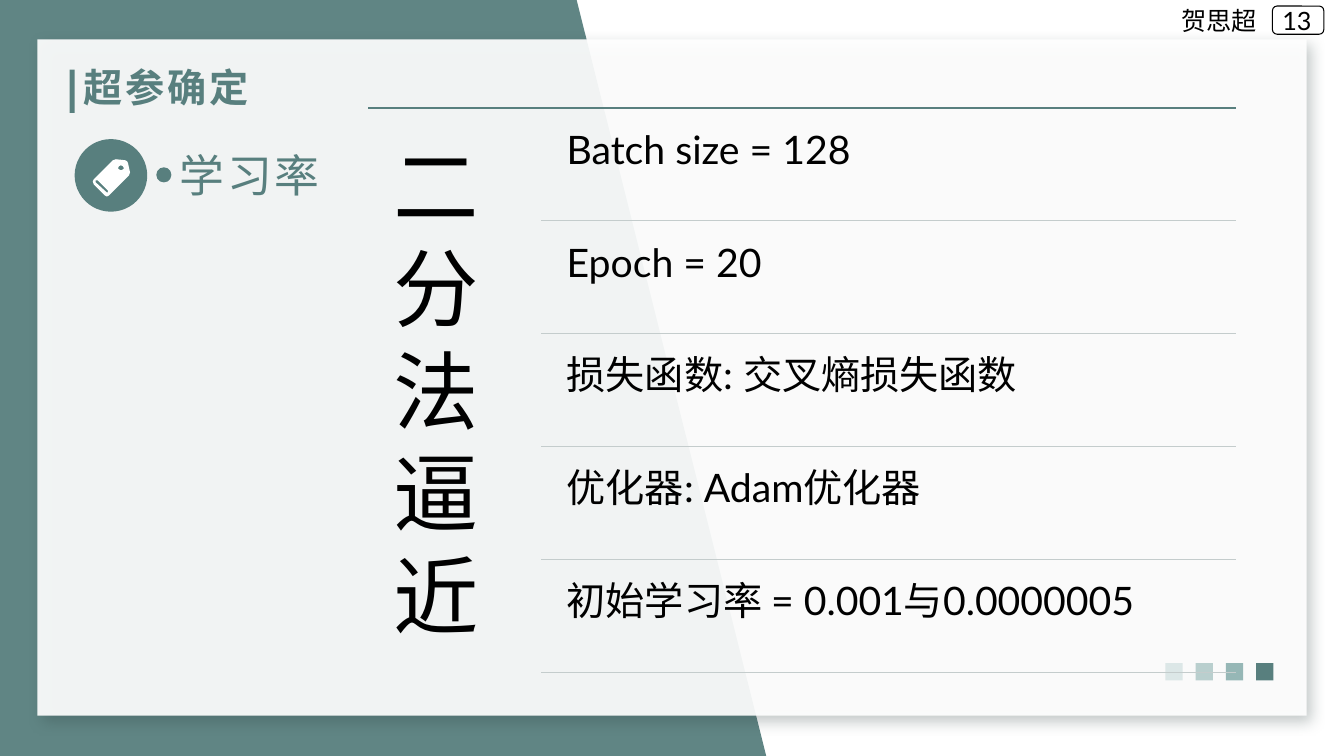
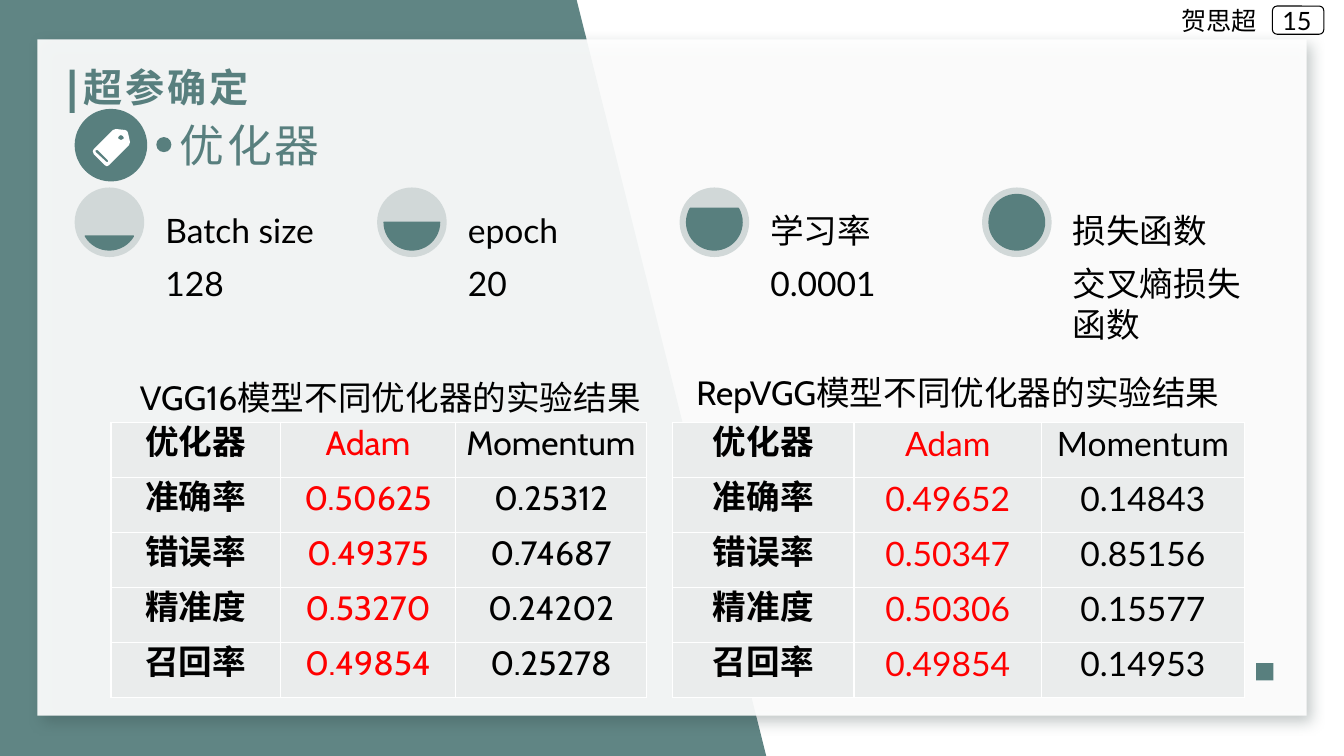
import dataclasses

import pptx
import pptx.dml.color
import pptx.enum.shapes
import pptx.enum.text
import pptx.oxml
import pptx.oxml.ns
import pptx.util

SCALE = 9144  # EMU in one px, 100 px to the inch
KIND = pptx.enum.shapes.MSO_SHAPE
ANCHOR = pptx.enum.text.MSO_ANCHOR
NS = pptx.oxml.ns.nsdecls("a")


@dataclasses.dataclass(frozen=True)
class Theme:
    green: str = "587F7E"
    mist: str = "D1D8D8"
    rule: str = "C4CCCC"
    cell: str = "EAECEC"
    shade: str = "2C403F"
    white: str = "FFFFFF"
    black: str = "000000"
    red: str = "FF0000"
    steps: tuple = ("DCE7E7", "B9CFCE", "96B7B6", "587F7E")
    body: str = "Lato"
    head: str = "Karla"
    data: str = "Cabin"
    small: int = 18
    text: int = 24
    large: int = 28
    topic: int = 32
    huge: int = 61


LOOK = Theme()

TAG = (
    ((55, 33), (53, 24), (52, 22), (50, 21), (41, 20), (38, 21), (19, 40),
     (18, 42), (19, 45), (30, 56), (32, 57), (34, 56), (54, 36)),
    ((33, 53), (32, 53), (21, 43), (21, 41), (23, 41), (33, 51)),
    ((48, 30), (46, 31), (44, 30), (43, 29), (44, 27), (46, 26), (48, 27), (49, 29)),
)
ITEMS = (
    "Batch size = 128",
    "Epoch = 20",
    "损失函数: 交叉熵损失函数",
    "优化器: Adam优化器",
    "初始学习率 = 0.001与0.0000005",
)
# label, value, angle in degrees where the filled part starts
GAUGES = (
    ("Batch size", "128", 30),
    ("epoch", "20", 0),
    ("学习率", "0.0001", 330),
    ("损失函数", "交叉熵损失函数", 270),
)
LABELS = ("优化器", "准确率", "错误率", "精准度", "召回率")
VGG = (
    ("Adam", "0.50625", "0.49375", "0.53270", "0.49854"),
    ("Momentum", "0.25312", "0.74687", "0.24202", "0.25278"),
)
REP = (
    ("Adam", "0.49652", "0.50347", "0.50306", "0.49854"),
    ("Momentum", "0.14843", "0.85156", "0.15577", "0.14953"),
)


def px(*nums):
    return [pptx.util.Emu(num * SCALE) for num in nums]


def rgb(code):
    return pptx.dml.color.RGBColor.from_string(code)


def paint(shape, fill, line=None, width=1, alpha=None):
    shape.shadow.inherit = False
    shape.fill.solid()
    shape.fill.fore_color.rgb = rgb(fill)
    if alpha:
        tone = shape._element.spPr.find(".//" + pptx.oxml.ns.qn("a:srgbClr"))
        tone.append(pptx.oxml.parse_xml(f'<a:alpha {NS} val="{alpha * 1000}"/>'))
    if line:
        shape.line.color.rgb = rgb(line)
        shape.line.width = pptx.util.Pt(width)
    else:
        shape.line.fill.background()
    return shape


def block(slide, kind, box, fill, **style):
    return paint(slide.shapes.add_shape(kind, *px(*box)), fill, **style)


def outline(slide, paths, fill, left=0, top=0, **style):
    """Draw closed paths as one shape; inner paths become holes."""
    pen = slide.shapes.build_freeform(*paths[0][0], scale=SCALE)
    for turn, path in enumerate(paths):
        if turn:
            pen.move_to(*path[0])
        pen.add_line_segments(path[1:], close=True)
    return paint(pen.convert_to_shape(*px(left, top)), fill, **style)


def rule(slide, left, right, y, color):
    line = slide.shapes.add_connector(
        pptx.enum.shapes.MSO_CONNECTOR.STRAIGHT, *px(left, y, right, y))
    line.line.color.rgb = rgb(color)
    line.line.width = pptx.util.Pt(1)
    line._element.spPr.append(pptx.oxml.parse_xml(f"<a:effectLst {NS}/>"))


def write(par, text, size, face=LOOK.body, color=LOOK.black, bold=False, track=0):
    run = par.add_run()
    run.text = text
    form = {"size": pptx.util.Pt(size), "name": face, "bold": bold}
    for name, value in form.items():
        setattr(run.font, name, value)
    run.font.color.rgb = rgb(color)
    if track:
        run._r.get_or_add_rPr().set("spc", str(track * 100))


def label(slide, box, text, size, pad=(10, 5), anchor=ANCHOR.TOP, **style):
    frame = slide.shapes.add_textbox(*px(*box)).text_frame
    side, edge = px(*pad)
    form = {
        "word_wrap": True, "vertical_anchor": anchor,
        "margin_left": side, "margin_right": side,
        "margin_top": edge, "margin_bottom": edge,
    }
    for name, value in form.items():
        setattr(frame, name, value)
    write(frame.paragraphs[0], text, size, **style)


def cast(shape):
    """Give the shape a soft shadow to the lower right."""
    xml = (f'<a:outerShdw {NS} blurRad="127000" dist="76200" dir="2700000" '
           f'algn="tl" rotWithShape="0"><a:srgbClr val="{LOOK.shade}">'
           '<a:alpha val="30000"/></a:srgbClr></a:outerShdw>')
    effect = shape._element.spPr.find(pptx.oxml.ns.qn("a:effectLst"))
    effect.append(pptx.oxml.parse_xml(xml))


def frame(slide, page, title):
    """Draw the ground, card, title and page mark that all slides share."""
    outline(slide, [((0, 0), (572, 0), (760, 750), (0, 750))], LOOK.green, alpha=95)
    cast(block(slide, KIND.RECTANGLE, (37, 39, 1259, 671), LOOK.white, alpha=92))
    for spot, color in enumerate(LOOK.steps):
        block(slide, KIND.RECTANGLE, (1156 + 30 * spot, 658, 17, 17), color)
    block(slide, KIND.RECTANGLE, (69, 69, 5, 43), LOOK.green)
    block(slide, KIND.ROUNDED_RECTANGLE, (1262, 6, 51, 28), LOOK.white,
          line=LOOK.black, width=0.75)
    label(slide, (1262, 0, 51, 40), page, LOOK.small)
    label(slide, (1162, 0, 127, 40), "贺思超", LOOK.small)
    label(slide, (73, 58, 526, 48), title, LOOK.large, face=LOOK.head,
          color=LOOK.green, bold=True, track=2)


def topic(slide, top, text):
    """Draw the tag badge, the dot and the topic beside them."""
    left = 74
    block(slide, KIND.OVAL, (left, top, 72, 72), LOOK.green)
    outline(slide, TAG, LOOK.white, left, top)
    block(slide, KIND.OVAL, (left + 81, top + 28, 15, 15), LOOK.green)
    label(slide, (left + 104, top + 9, 1097, 54), text, LOOK.topic, pad=(0, 0),
          face=LOOK.head, color=LOOK.green, track=2)


def ladder(slide, head, items):
    """Set a tall heading beside items that are parted by rules."""
    top, step, right = 107, 112, 1226
    rule(slide, 365, right, top, LOOK.green)
    label(slide, (365, top, 172, 565), head, LOOK.huge, pad=(25, 25))
    for spot, item in enumerate(items):
        y = top + spot * step
        label(slide, (550, y + 5, 676, 107), item, LOOK.large, pad=(12, 12))
        rule(slide, 537, right, y + step, LOOK.rule)


def gauge(slide, left, name, value, start):
    top, size, gap = 186, 69, 7
    block(slide, KIND.OVAL, (left, top, size, size), LOOK.mist)
    inner = size - 2 * gap
    chord = block(slide, KIND.CHORD, (left + gap, top + gap, inner, inner),
                  LOOK.green, line=LOOK.green)
    for spot, angle in enumerate((start, (180 - start) % 360)):
        chord.adjustments[spot] = angle * 0.6
    label(slide, (left + 83, top, 203, size), name, LOOK.text, pad=(7, 7),
          anchor=ANCHOR.BOTTOM)
    label(slide, (left + 83, top + size - 1, 203, 96), value, LOOK.text, pad=(7, 7))


def edge(cell):
    props = cell._tc.get_or_add_tcPr()
    for side in "LRTB":
        props.append(pptx.oxml.parse_xml(
            f'<a:ln{side} {NS} w="12700"><a:solidFill>'
            f'<a:srgbClr val="{LOOK.white}"/></a:solidFill></a:ln{side}>'))


def fill_cell(cell, text, **style):
    side, flat = px(7, 0)
    form = {
        "vertical_anchor": ANCHOR.MIDDLE,
        "margin_left": side, "margin_right": side,
        "margin_top": flat, "margin_bottom": flat,
    }
    for name, value in form.items():
        setattr(cell, name, value)
    edge(cell)
    cell.fill.solid()
    cell.fill.fore_color.rgb = rgb(LOOK.cell)
    par = cell.text_frame.paragraphs[0]
    par.alignment = pptx.enum.text.PP_ALIGN.CENTER
    par.line_spacing = pptx.util.Pt(20)
    write(par, text, LOOK.text, **style)


def grid(slide, left, widths, data, face):
    """Build a table of row labels, the red best column and its rival."""
    cols = (LABELS, *data)
    box = px(left, 419, sum(widths), 273)
    table = slide.shapes.add_table(len(LABELS), len(cols), *box).table
    table.first_row = table.horz_banding = False
    for col, width in zip(table.columns, px(*widths)):
        col.width = width
    tones = (LOOK.black, LOOK.red, LOOK.black)
    for x, (texts, tone) in enumerate(zip(cols, tones)):
        for y, text in enumerate(texts):
            fill_cell(table.cell(y, x), text, face=face, color=tone, bold=x == 0)


def rates(slide):
    frame(slide, "13", "超参确定")
    topic(slide, 138, "学习率")
    ladder(slide, "二分法逼近", ITEMS)


def tuners(slide):
    frame(slide, "15", "超参确定")
    topic(slide, 108, "优化器")
    for spot, item in enumerate(GAUGES):
        gauge(slide, 74 + 300 * spot, *item)
    grid(slide, 110, (168, 174, 189), VGG, LOOK.data)
    grid(slide, 667, (180, 186, 201), REP, LOOK.body)
    for left, top, model in ((129, 369, "VGG16"), (681, 364, "RepVGG")):
        label(slide, (left, top, 560, 50), f"{model}模型不同优化器的实验结果",
              LOOK.text, face=LOOK.data)


def main():
    deck = pptx.Presentation()
    deck.slide_width, deck.slide_height = px(1333, 750)
    for build in (rates, tuners):
        build(deck.slides.add_slide(deck.slide_layouts[6]))
    deck.save("out.pptx")


if __name__ == "__main__":
    main()
